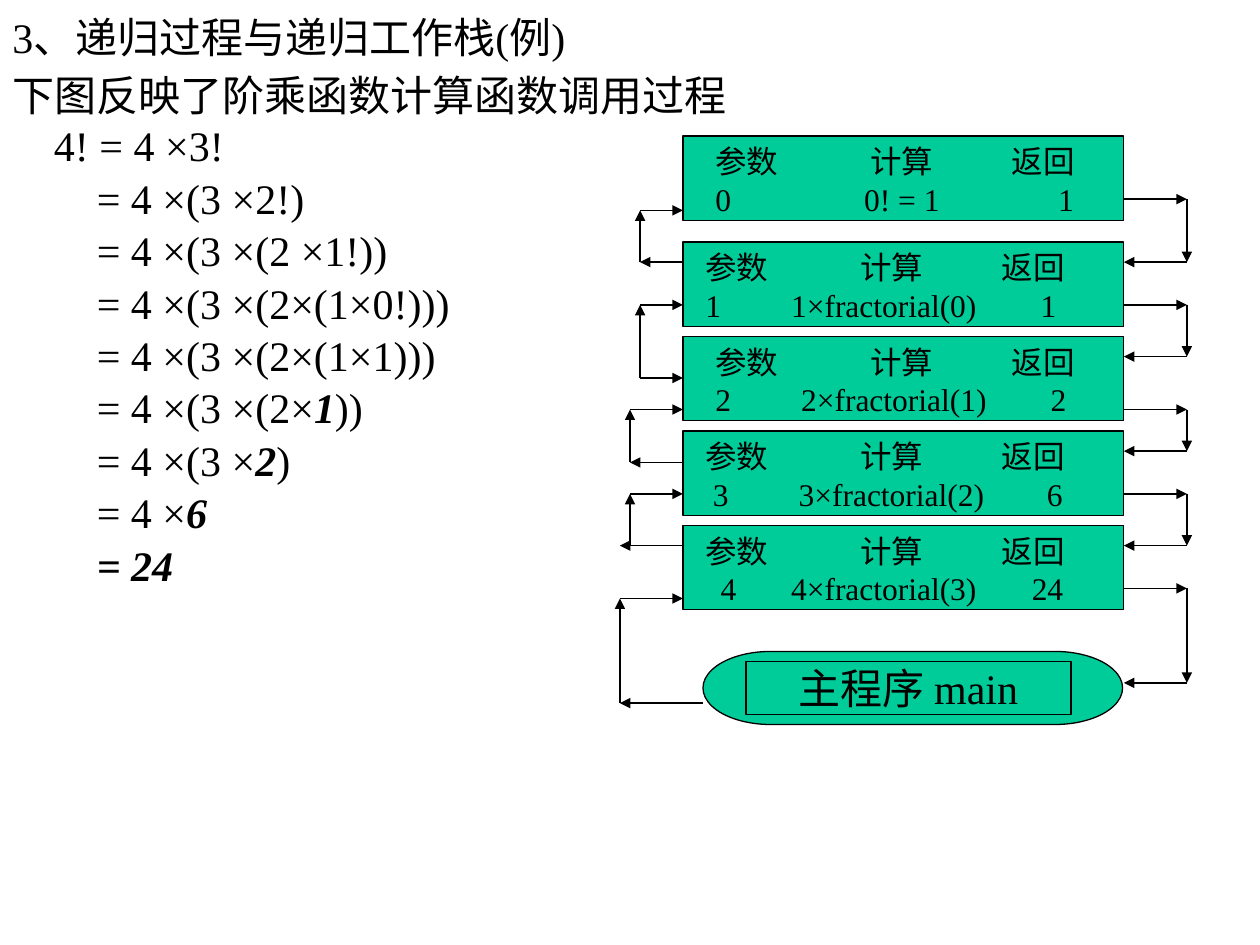
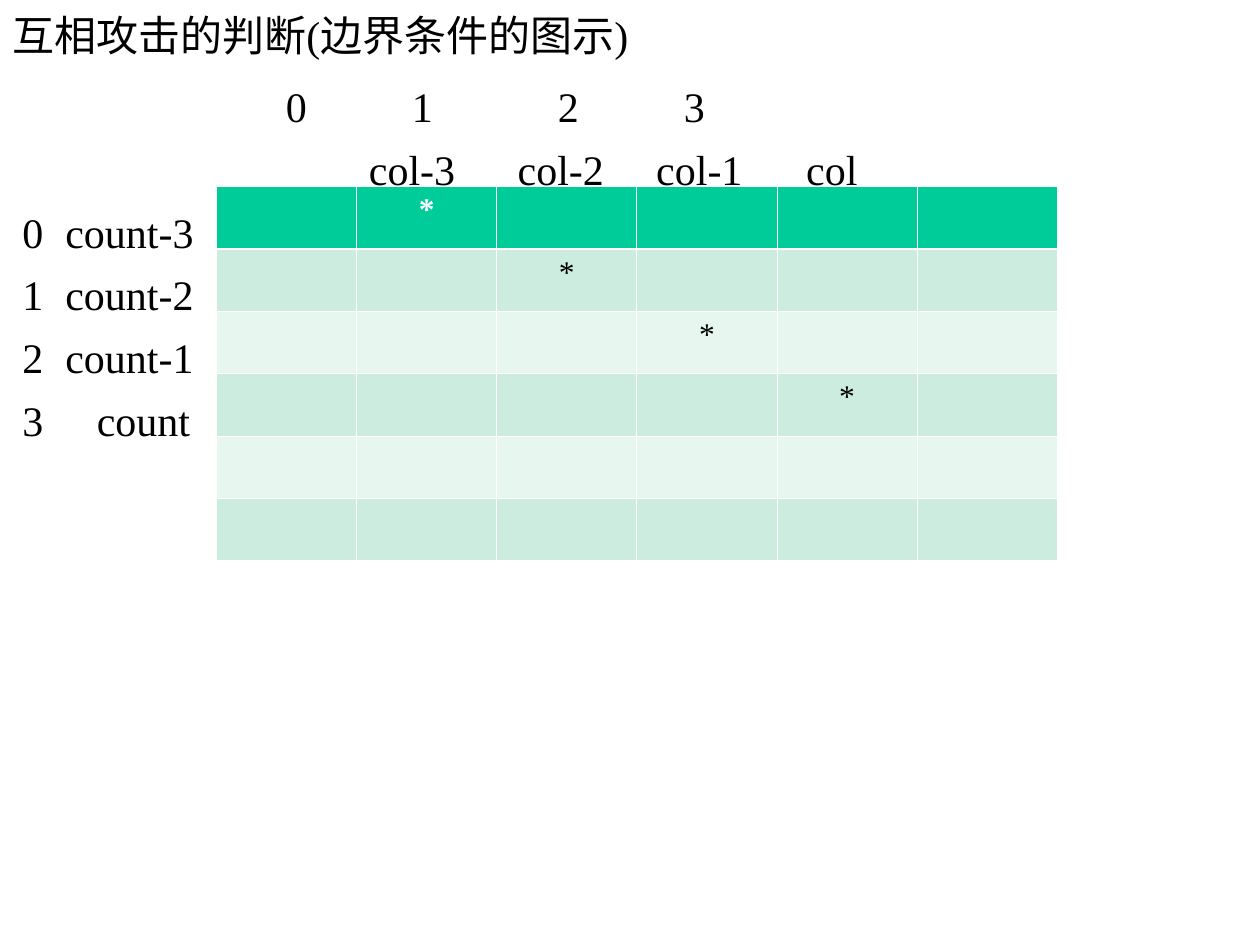
from lxml.etree import SubElement
from pptx import Presentation
from pptx.dml.color import RGBColor
from pptx.enum.shapes import MSO_CONNECTOR, MSO_SHAPE
from pptx.enum.text import MSO_ANCHOR, PP_ALIGN
from pptx.oxml.ns import qn
from pptx.util import Inches, Pt

FONT = "Times New Roman"
BLACK = RGBColor(0x00, 0x00, 0x00)
WHITE = RGBColor(0xFF, 0xFF, 0xFF)
GREEN = RGBColor(0x00, 0xCC, 0x99)
BAND_DARK = RGBColor(0xCB, 0xEC, 0xDE)
BAND_LIGHT = RGBColor(0xE7, 0xF6, 0xEF)

STACK_TITLE = "3、递归过程与递归工作栈(例)"
STACK_INTRO = "下图反映了阶乘函数计算函数调用过程"
FIRST_STEP = "4! = 4 ×3!"
STEPS = [
    ("= 4 ×(3 ×2!)",),
    ("= 4 ×(3 ×(2 ×1!))",),
    ("= 4 ×(3 ×(2×(1×0!)))",),
    ("= 4 ×(3 ×(2×(1×1)))",),
    ("= 4 ×(3 ×(2×", "1", "))"),
    ("= 4 ×(3 ×", "2", ")"),
    ("= 4 ×", "6"),
    ("", "= 24"),
]
FRAME_HEADINGS = ("参数", "计算", "返回")
HEADING_STOPS = (0, 1.23, 2.35)
FRAMES = [
    (1.08, 5.58, ("0", "0! = 1", "1"), (0, 1.18, 2.72)),
    (1.92, 5.5, ("1", "1×fractorial(0)", "1"), (0, 0.68, 2.66)),
    (2.67, 5.58, ("2", "2×fractorial(1)", "2"), (0, 0.68, 2.66)),
    (3.42, 5.5, ("3", "3×fractorial(2)", "6"), (0.06, 0.74, 2.71)),
    (4.17, 5.5, ("4", "4×fractorial(3)", "24"), (0.12, 0.68, 2.59)),
]
MAIN_PROGRAM = "主程序 main"
FRAME_LEFT, FRAME_RIGHT, RETURN_LANE = 5.42, 8.92, 9.42
CALLS = [
    (5.58, 4.92, 4.92, 5.58, 4.75),
    (5.42, 4.92, 5, 4.33, 3.92),
    (5.42, 5, 5, 3.67, 3.25),
    (5.08, 5.42, 5.08, 3, 2.42),
    (5.42, 5.08, 5.08, 2.08, 1.67),
]
RETURNS = [(1.58, 2.08), (2.42, 2.83), (3.25, 3.58), (3.92, 4.33), (4.67, 5.42)]

ATTACK_TITLE = "互相攻击的判断(边界条件的图示)"
BOARD_LABELS = [
    (("0", "1", "2", "3"), (2.17, 3.17, 4.33, 5.33)),
    (("col-3", "col-2", "col-1", "col"), (2.83, 4.01, 5.11, 6.3)),
    (("0", "count-3"), (0.08, 0.42)),
    (("1", "count-2"), (0.08, 0.42)),
    (("2", "count-1"), (0.08, 0.42)),
    (("3", "count"), (0.08, 0.67)),
]
BOARD_SIZE = 6
QUEENS = [(0, 1), (1, 2), (2, 3), (3, 4)]


def add_run(paragraph, text, size=24, color=BLACK, bold=False, italic=False):
    run = paragraph.add_run()
    run.text = text
    font = run.font
    font.name, font.size, font.bold, font.italic = FONT, Pt(size), bold, italic
    font.color.rgb = color


def add_text_area(slide, left, top, width, height):
    area = slide.shapes.add_textbox(*map(Inches, (left, top, width, height)))
    area.text_frame.word_wrap = True
    return area.text_frame


def add_title(slide, text, height):
    title = add_text_area(slide, 0, 0, 8.5, height)
    title.vertical_anchor = MSO_ANCHOR.MIDDLE
    add_run(title.paragraphs[0], text)


def next_paragraph(frame):
    first = frame.paragraphs[0]
    return frame.add_paragraph() if first.runs else first


def add_tabbed_line(frame, words, stops, size):
    line = next_paragraph(frame)
    tabs = SubElement(line._p.get_or_add_pPr(), qn("a:tabLst"))
    for stop in stops:
        if stop:
            SubElement(tabs, qn("a:tab"), pos=str(Inches(stop)), algn="l")
    add_run(line, ("\t" if stops[0] else "") + "\t".join(words), size)
    return line


def add_box(slide, kind, left, top, width, height):
    box = slide.shapes.add_shape(kind, *map(Inches, (left, top, width, height)))
    box.shadow.inherit = False
    box.fill.solid()
    box.fill.fore_color.rgb = GREEN
    box.line.color.rgb = BLACK
    box.line.width = Pt(0.75)
    return box


def add_arrow(slide, start, end):
    arrow = slide.shapes.add_connector(
        MSO_CONNECTOR.STRAIGHT, *map(Inches, (*start, *end)))
    arrow.line.color.rgb = BLACK
    arrow.line.width = Pt(0.75)
    SubElement(arrow.line._get_or_add_ln(), qn("a:tailEnd"), type="triangle")
    SubElement(arrow._element.spPr, qn("a:effectLst"))


def add_border(cell, side, width):
    border = SubElement(cell._tc.get_or_add_tcPr(), qn(f"a:ln{side}"),
                        w=str(Pt(width)))
    fill = SubElement(border, qn("a:solidFill"))
    SubElement(fill, qn("a:srgbClr"), val=str(WHITE))


def add_expansion(slide):
    expansion = add_text_area(slide, 0, 0.5, 9.67, 6.67)
    add_run(next_paragraph(expansion), STACK_INTRO)
    for indent, parts in [(0.33, (FIRST_STEP,))] + [(0.67, s) for s in STEPS]:
        step = next_paragraph(expansion)
        step.space_after = Pt(1.2)
        step._p.get_or_add_pPr().set("marL", str(Inches(indent)))
        for index, part in enumerate(parts):
            if part:
                result = index == 1
                add_run(step, part, bold=result, italic=result)


def add_call_stack(slide):
    for top, text_left, values, stops in FRAMES:
        add_box(slide, MSO_SHAPE.RECTANGLE, FRAME_LEFT, top, 3.5, 0.67)
        record = add_text_area(slide, text_left, top, 3.25, 0.7)
        add_tabbed_line(record, FRAME_HEADINGS, HEADING_STOPS, 18)
        add_tabbed_line(record, values, stops, 18)

    add_box(slide, MSO_SHAPE.FLOWCHART_TERMINATOR, 5.58, 5.17, 3.33, 0.58)
    main_program = add_box(slide, MSO_SHAPE.RECTANGLE, 5.92, 5.25, 2.58, 0.42)
    main_program.text_frame.word_wrap = False
    main_program.text_frame.vertical_anchor = MSO_ANCHOR.MIDDLE
    caption = main_program.text_frame.paragraphs[0]
    caption.alignment = PP_ALIGN.CENTER
    add_run(caption, MAIN_PROGRAM)

    for stub_start, stub_end, lane, low, high in CALLS:
        add_arrow(slide, (stub_start, low), (stub_end, low))
        add_arrow(slide, (lane, low), (lane, high))
        add_arrow(slide, (lane, high), (FRAME_LEFT, high))
    for high, low in RETURNS:
        add_arrow(slide, (FRAME_RIGHT, high), (RETURN_LANE, high))
        add_arrow(slide, (RETURN_LANE, high), (RETURN_LANE, low))
        add_arrow(slide, (RETURN_LANE, low), (FRAME_RIGHT, low))


def add_board(slide):
    labels = add_text_area(slide, 0, 0.59, 9.69, 6.6)
    for words, stops in BOARD_LABELS:
        add_tabbed_line(labels, words, stops, 24).space_after = Pt(7.1)

    board = slide.shapes.add_table(
        BOARD_SIZE, BOARD_SIZE, *map(Inches, (1.72, 1.48, 6.67, 2.97))).table
    board.first_row = board.horz_banding = False
    for row in range(BOARD_SIZE):
        header = row == 0
        color = GREEN if header else BAND_DARK if row % 2 else BAND_LIGHT
        for column in range(BOARD_SIZE):
            cell = board.cell(row, column)
            widths = {"L": 0.45, "R": 0.45, "T": 1.47 if row == 1 else 0.45,
                      "B": 1.47 if header else 0.45}
            for side, width in widths.items():
                add_border(cell, side, width)
            cell.fill.solid()
            cell.fill.fore_color.rgb = color
            if (row, column) in QUEENS:
                queen = cell.text_frame.paragraphs[0]
                queen.alignment = PP_ALIGN.CENTER
                add_run(queen, "*", 18, WHITE if header else BLACK, header)


def main():
    deck = Presentation()
    deck.slide_width, deck.slide_height = Inches(10), Inches(7.5)
    blank = deck.slide_layouts[6]

    stack_slide = deck.slides.add_slide(blank)
    add_title(stack_slide, STACK_TITLE, 0.58)
    add_expansion(stack_slide)
    add_call_stack(stack_slide)

    attack_slide = deck.slides.add_slide(blank)
    add_title(attack_slide, ATTACK_TITLE, 0.55)
    add_board(attack_slide)

    deck.save("out.pptx")


if __name__ == "__main__":
    main()
